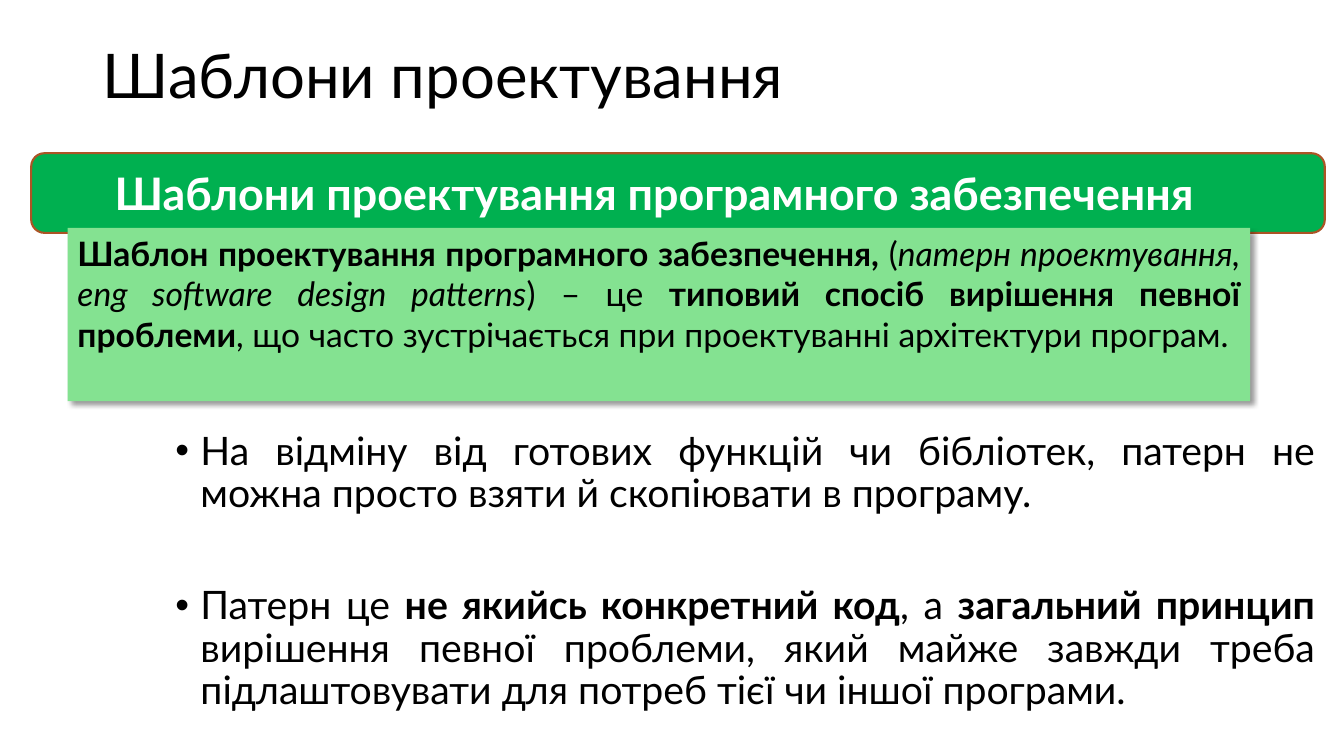
from lxml import etree
from pptx import Presentation
from pptx.dml.color import RGBColor
from pptx.enum.shapes import MSO_SHAPE
from pptx.enum.text import MSO_ANCHOR, MSO_AUTO_SIZE, PP_ALIGN
from pptx.oxml.ns import qn
from pptx.util import Emu, Pt

PX = 9144  # 100 px to the inch
FONT = "Lato"
BLACK = RGBColor(0x00, 0x00, 0x00)
WHITE = RGBColor(0xFF, 0xFF, 0xFF)
GREEN = RGBColor(0x00, 0xB0, 0x50)
LIGHT_GREEN = RGBColor(0x84, 0xE2, 0x91)
RUST = RGBColor(0xAC, 0x54, 0x25)

LEFT, JUSTIFY = PP_ALIGN.LEFT, PP_ALIGN.JUSTIFY
TOP, MIDDLE = MSO_ANCHOR.TOP, MSO_ANCHOR.MIDDLE
RECTANGLE, ROUNDED = MSO_SHAPE.RECTANGLE, MSO_SHAPE.ROUNDED_RECTANGLE
NO_FIT = MSO_AUTO_SIZE.NONE
TITLE_ONLY = 5

# Each span is its text and its style: "" plain, "b" bold, "i" italic
DEFINITION = [
    ("Шаблон проектування програмного забезпечення, ", "b"),
    ("(", ""),
    ("патерн проектування, eng software design patterns", "i"),
    (") – це ", ""),
    ("типовий спосіб вирішення певної проблеми", "b"),
    (", що часто зустрічається при проектуванні архітектури програм.", ""),
]
# Each point is its space before and its spans
POINTS = [
    (10, [("На відміну від готових функцій чи бібліотек, патерн не можна "
           "просто взяти й скопіювати в програму.", "")]),
    (50, [
        ("Патерн це ", ""),
        ("не якийсь конкретний код", "b"),
        (", а ", ""),
        ("загальний принцип ", "b"),
        ("вирішення певної проблеми, який майже завжди треба "
         "підлаштовувати для потреб тієї чи іншої програми.", ""),
    ]),
]


def px(value):
    return Emu(value * PX)


def write_spans(para, spans, size, color=BLACK, align=LEFT):
    para.alignment = align
    for text, style in spans:
        span = para.add_run()
        span.text = text
        span.font.name = FONT
        span.font.size = Pt(size)
        span.font.color.rgb = color
        span.font.bold = style == "b"
        span.font.italic = style == "i"


def set_indent(para, left, first=0):
    properties = para._p.get_or_add_pPr()
    properties.set("marL", str(px(left)))
    properties.set("indent", str(px(first)))


def add_bullet(para):
    properties = para._p.get_or_add_pPr()
    etree.SubElement(properties, qn("a:buFont")).set("typeface", "Arial")
    etree.SubElement(properties, qn("a:buChar")).set("char", "•")


def add_shadow(box):
    effects = box._element.spPr.find(qn("a:effectLst"))
    shadow = etree.SubElement(
        effects, qn("a:outerShdw"), blurRad=str(Pt(4)), dist=str(Pt(3)),
        dir=str(45 * 60000), algn="tl", rotWithShape="0")
    color = etree.SubElement(shadow, qn("a:srgbClr"), val=str(BLACK))
    etree.SubElement(color, qn("a:alpha"), val="40000")


def set_title(page, text, left, top, width, height):
    title = page.shapes.title
    title.left, title.top = px(left), px(top)
    title.width, title.height = px(width), px(height)
    frame = title.text_frame
    frame.auto_size = NO_FIT
    frame.vertical_anchor = TOP
    para = frame.paragraphs[0]
    para.line_spacing = 0.9
    write_spans(para, [(text, "")], 44)


def add_panel(page, kind, left, top, width, height, fill, anchor):
    box = page.shapes.add_shape(kind, px(left), px(top), px(width), px(height))
    box.shadow.inherit = False
    box.fill.solid()
    box.fill.fore_color.rgb = fill
    box.line.fill.background()
    box.text_frame.word_wrap = True
    box.text_frame.vertical_anchor = anchor
    return box


def add_points(page, points, left, top, width, height):
    box = page.shapes.add_textbox(px(left), px(top), px(width), px(height))
    frame = box.text_frame
    frame.word_wrap = True
    frame.auto_size = NO_FIT
    for index, (space, spans) in enumerate(points):
        para = frame.add_paragraph() if index else frame.paragraphs[0]
        para.line_spacing = 0.9
        para.space_before = Pt(space)
        set_indent(para, 25, -25)
        add_bullet(para)
        write_spans(para, spans, 28, align=JUSTIFY)


def main():
    deck = Presentation()
    deck.slide_width, deck.slide_height = px(1333), px(750)
    page = deck.slides.add_slide(deck.slide_layouts[TITLE_ONLY])

    # Title and bullet points
    set_title(page, "Шаблони проектування", 92, 40, 1150, 145)
    add_points(page, POINTS, 164, 423, 1150, 305)

    # Heading banner
    banner = add_panel(page, ROUNDED, 31, 152, 1283, 79, GREEN, MIDDLE)
    banner.line.color.rgb = RUST
    banner.line.width = Pt(1.5)
    heading = banner.text_frame.paragraphs[0]
    set_indent(heading, 69)
    write_spans(heading, [("Шаблони проектування програмного забезпечення", "b")],
                32, WHITE)

    # Definition panel
    panel = add_panel(page, RECTANGLE, 67, 226, 1173, 172, LIGHT_GREEN, TOP)
    add_shadow(panel)
    write_spans(panel.text_frame.paragraphs[0], DEFINITION, 24, align=JUSTIFY)

    deck.save("out.pptx")


if __name__ == "__main__":
    main()
